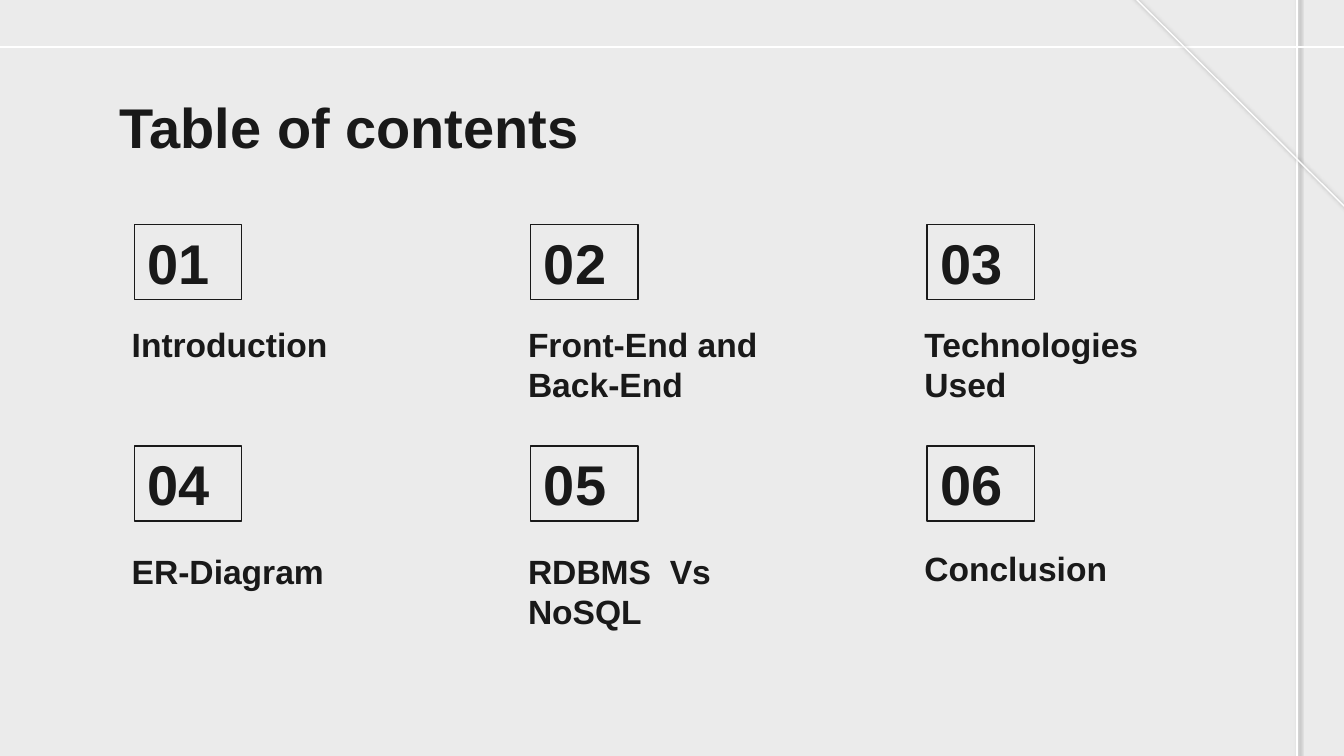
from lxml.etree import SubElement as Sub
from pptx import Presentation
from pptx.dml.color import RGBColor
from pptx.enum.shapes import MSO_CONNECTOR as Link, MSO_SHAPE as Kind
from pptx.enum.text import MSO_ANCHOR as Anchor, MSO_AUTO_SIZE as Auto, PP_ALIGN as Align
from pptx.oxml.ns import qn
from pptx.util import Cm, Pt

INK = "191919"
WHITE = "FFFFFF"


def paint(color, code):
    color.rgb = RGBColor.from_string(code)


def write(shape, text, size, anchor=Anchor.TOP):
    frame = shape.text_frame
    frame.word_wrap = True
    frame.auto_size = Auto.NONE
    frame.vertical_anchor = anchor
    frame.margin_left = frame.margin_right = Cm(0.25)
    frame.margin_top = frame.margin_bottom = Cm(0.25)
    for i, line in enumerate(text.split("\n")):
        para = frame.add_paragraph() if i else frame.paragraphs[0]
        para.alignment = Align.LEFT
        run = para.add_run()
        run.text = line
        run.font.name = "Arial"
        run.font.size = Pt(size)
        run.font.bold = True
        paint(run.font.color, INK)


deck = Presentation()
deck.slide_width, deck.slide_height = Cm(25.4), Cm(14.29)
slide = deck.slides.add_slide(deck.slide_layouts[5])
shapes = slide.shapes
back = slide.background.fill
back.solid()
paint(back.fore_color, "EBEBEB")

rules = [
    (24.51, -0.41, 24.51, 14.29),
    (-0.15, 0.89, 25.55, 0.89),
    (21.31, -0.18, 25.68, 4.17),
]
for ends in rules:
    rule = shapes.add_connector(Link.STRAIGHT, *[Cm(n) for n in ends])
    rule.line.width = Pt(0.75)
    paint(rule.line.color, WHITE)
    list_ = Sub(rule.element.spPr, qn("a:effectLst"))
    shade = Sub(list_, qn("a:outerShdw"), blurRad=str(Pt(2.2)), dist=str(Pt(1.5)),
                dir=str(51 * 60000), algn="bl", rotWithShape="0")
    tone = Sub(shade, qn("a:srgbClr"), val="434343")
    Sub(tone, qn("a:alpha"), val="50000")

title = shapes.title
title.left, title.top = Cm(2.01), Cm(1.5)
title.width, title.height = Cm(21.41), Cm(1.6)
write(title, "Table of contents", 30)

topics = [
    ("Introduction", 5.87, 5.05, 2.03),
    ("Front-End and Back-End", 5.87, 5.05, 2.03),
    ("Technologies Used", 5.87, 5.05, 2.03),
    ("ER-Diagram", 10.16, 5.05, 2.03),
    ("RDBMS  Vs\nNoSQL", 10.16, 6.02, 2.62),
    ("Conclusion", 10.11, 5.05, 2.03),
]
for i, (topic, top, wide, high) in enumerate(topics):
    row, col = divmod(i, 3)
    left = 2.54 + 7.49 * col
    box = shapes.add_shape(Kind.RECTANGLE, Cm(left), Cm(4.24 + 4.19 * row), Cm(2.03), Cm(1.42))
    box.shadow.inherit = False
    box.fill.background()
    box.line.width = Pt(0.75)
    paint(box.line.color, INK)
    write(box, f"{i + 1:02}", 30, Anchor.MIDDLE)
    label = shapes.add_textbox(Cm(left - 0.3), Cm(top), Cm(wide), Cm(high))
    write(label, topic, 18)

deck.save("out.pptx")
